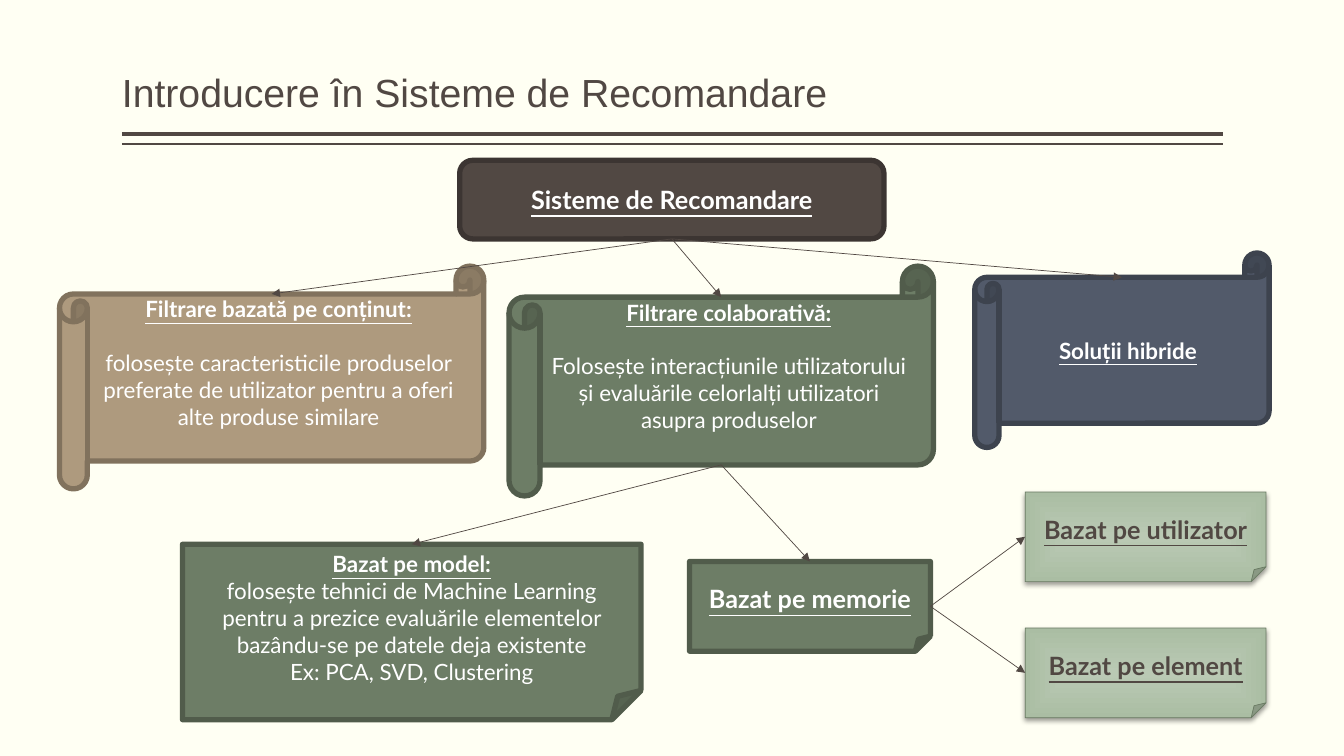
from dataclasses import dataclass

from lxml import etree
from pptx import Presentation
from pptx.dml.color import RGBColor
from pptx.enum.shapes import MSO_CONNECTOR, MSO_SHAPE
from pptx.enum.text import MSO_ANCHOR, MSO_AUTO_SIZE, PP_ALIGN
from pptx.oxml.ns import qn
from pptx.util import Emu, Inches, Pt

ROUNDED = MSO_SHAPE.ROUNDED_RECTANGLE
SCROLL = MSO_SHAPE.HORIZONTAL_SCROLL
NOTE = MSO_SHAPE.FOLDED_CORNER
STRAIGHT = MSO_CONNECTOR.STRAIGHT
MIDDLE, BOTTOM = MSO_ANCHOR.MIDDLE, MSO_ANCHOR.BOTTOM
CENTER, LEFT = PP_ALIGN.CENTER, PP_ALIGN.LEFT

COLUMNS, ROWS = 133.33, 75
CELL = Inches(0.1)
TITLE_ONLY = 5

COLORS = {
    "paper": "FFFFF3", "ink": "514843", "ink_edge": "3C3532",
    "white": "FFFFFF", "sand": "AE9A7E", "sand_edge": "81725D",
    "green": "6D7D66", "green_edge": "515C4B",
    "slate": "525A6A", "slate_edge": "3D434E",
    "pale_inner": "BAC9B4", "pale_outer": "AABDA3", "pale_edge": "6A7B63",
}


@dataclass(frozen=True)
class Node:
    """A box of the diagram, placed in grid columns and rows."""
    column: float
    row: float
    width: float
    height: float
    outline: MSO_SHAPE
    palette: str
    heading: str
    details: tuple[str, ...] = ()
    size: int = 16
    curl: float = 0  # scroll curl, as a share of the height
    detail_gap: float = 0
    bottom_room: float = 0.5

    @property
    def top(self) -> tuple[float, float]:
        return self.column + self.width / 2, self.row + self.curl * self.height

    @property
    def bottom(self) -> tuple[float, float]:
        return self.column + self.width / 2, self.row + (1 - self.curl) * self.height

    @property
    def left(self) -> tuple[float, float]:
        return self.column, self.row + self.height / 2

    @property
    def right(self) -> tuple[float, float]:
        return self.column + self.width, self.row + self.height / 2


SYSTEMS = Node(45.6, 15.9, 42.1, 7.8, ROUNDED, "ink", "Sisteme de Recomandare", size=18)
CONTENT = Node(
    5.9, 26.4, 42.1, 22.1, SCROLL, "sand", "Filtrare bazată pe conținut:",
    ("folosește caracteristicile produselor preferate de utilizator "
     "pentru a oferi alte produse similare",),
    curl=0.125, detail_gap=19.2, bottom_room=3.5)
COLLABORATIVE = Node(
    50.5, 26.4, 42.1, 22.8, SCROLL, "green", "Filtrare colaborativă:",
    ("Folosește interacțiunile utilizatorului și evaluările celorlalți "
     "utilizatori asupra produselor",),
    curl=0.135, detail_gap=19.2, bottom_room=3.5)
HYBRID = Node(96.7, 25.1, 29.2, 19.3, SCROLL, "slate", "Soluții hibride", curl=0.125)
MODEL = Node(
    18.1, 54, 45.5, 17.4, NOTE, "green", "Bazat pe model:",
    ("folosește tehnici de Machine Learning pentru a prezice evaluările "
     "elementelor bazându-se pe datele deja existente",
     "Ex: PCA, SVD, Clustering"))
MEMORY = Node(68.4, 55.7, 23.9, 8.9, NOTE, "green", "Bazat pe memorie", size=18)
USER, ITEM = (
    Node(101.7, row, 23.9, 8.9, NOTE, "pale", heading, size=18)
    for row, heading in ((48.8, "Bazat pe utilizator"), (62.3, "Bazat pe element")))

NODES = (SYSTEMS, CONTENT, COLLABORATIVE, HYBRID, MODEL, MEMORY, USER, ITEM)
ARROWS = (
    *((SYSTEMS.bottom, child.top) for child in (CONTENT, COLLABORATIVE, HYBRID)),
    *((COLLABORATIVE.bottom, child.top) for child in (MODEL, MEMORY)),
    *((MEMORY.right, child.left) for child in (USER, ITEM)),
)


def grid(cells: float) -> Emu:
    return Emu(round(cells * CELL))


def color(name: str) -> RGBColor:
    return RGBColor.from_string(COLORS[name])


def style_run(run, font: str, size: float, ink: str) -> None:
    run.font.name = font
    run.font.size = Pt(size)
    run.font.color.rgb = color(ink)


def add_line(slide, start, end, weight: float, arrow: bool = False) -> None:
    line = slide.shapes.add_connector(STRAIGHT, *map(grid, (*start, *end)))
    line.line.color.rgb = color("ink")
    line.line.width = Pt(weight)
    if arrow:
        etree.SubElement(line.line._get_or_add_ln(), qn("a:tailEnd"), type="triangle")
    etree.SubElement(line._element.spPr, qn("a:effectLst"))


def apply_pale_finish(shape) -> None:
    """Give the shape a gradient from its centre and a soft shadow below."""
    shape.fill.gradient()
    for stop, name, position in zip(
            shape.fill.gradient_stops, ("pale_inner", "pale_outer"), (0, 1)):
        stop.color.rgb = color(name)
        stop.position = position
    properties = shape._element.spPr
    gradient = properties.find(qn("a:gradFill"))
    gradient.remove(gradient.find(qn("a:lin")))
    centre = etree.SubElement(gradient, qn("a:path"))
    centre.set("path", "rect")
    etree.SubElement(centre, qn("a:fillToRect"), {side: "50000" for side in "ltrb"})
    shadow = etree.SubElement(
        properties.find(qn("a:effectLst")), qn("a:outerShdw"),
        blurRad=str(Pt(3.5)), dist=str(Pt(2)), dir="5400000",
        algn="ctr", rotWithShape="0")
    black = etree.SubElement(shadow, qn("a:srgbClr"), val="000000")
    etree.SubElement(black, qn("a:alpha"), val="38000")


def add_node(slide, node: Node) -> None:
    shape = slide.shapes.add_shape(
        node.outline, *map(grid, (node.column, node.row, node.width, node.height)))
    pale = node.palette == "pale"
    shape.shadow.inherit = False
    if node.curl:
        shape.adjustments[0] = node.curl
    shape.line.color.rgb = color(f"{node.palette}_edge")
    shape.line.width = Pt(0.5 if pale else 3.78)
    if pale:
        apply_pale_finish(shape)
    else:
        shape.fill.solid()
        shape.fill.fore_color.rgb = color(node.palette)

    frame = shape.text_frame
    frame.word_wrap = True
    frame.vertical_anchor = MIDDLE
    frame.margin_bottom = grid(node.bottom_room)
    frame.text = "\n".join((node.heading, *node.details))
    for index, paragraph in enumerate(frame.paragraphs):
        paragraph.alignment = CENTER
        paragraph.space_before = Pt(node.detail_gap if index else 0)
        for run in paragraph.runs:
            style_run(run, "Lato", node.size, "ink" if pale else "white")
            run.font.bold = run.font.underline = index == 0


def add_title(slide) -> None:
    title = slide.shapes.title
    title.left, title.top, title.width, title.height = map(grid, (12.1, 0, 109.2, 12))
    frame = title.text_frame
    frame.text = "Introducere în Sisteme de Recomandare"
    frame.word_wrap = True
    frame.auto_size = MSO_AUTO_SIZE.NONE
    frame.vertical_anchor = BOTTOM
    frame.margin_left = frame.margin_right = 0
    heading = frame.paragraphs[0]
    heading.alignment = LEFT
    heading.line_spacing = 0.9
    style_run(heading.runs[0], "Arial", 28, "ink")
    for row, weight in ((13.3, 3), (14.3, 1)):
        add_line(slide, (12.1, row), (121.3, row), weight)


def main() -> None:
    deck = Presentation()
    deck.slide_width, deck.slide_height = grid(COLUMNS), grid(ROWS)
    slide = deck.slides.add_slide(deck.slide_layouts[TITLE_ONLY])
    slide.background.fill.solid()
    slide.background.fill.fore_color.rgb = color("paper")
    add_title(slide)
    for node in NODES:
        add_node(slide, node)
    for start, end in ARROWS:
        add_line(slide, start, end, 0.5, arrow=True)
    deck.save("out.pptx")


if __name__ == "__main__":
    main()
